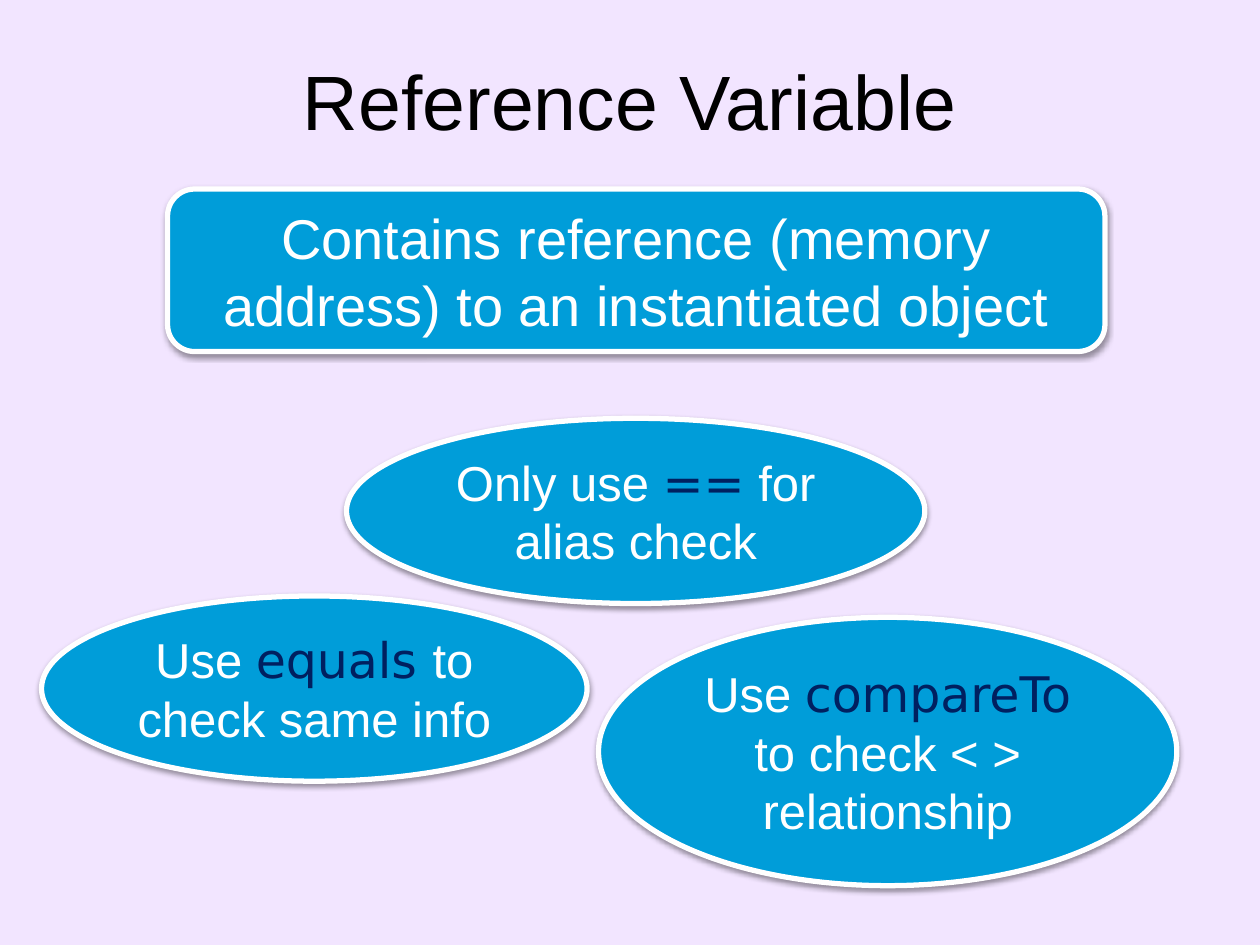
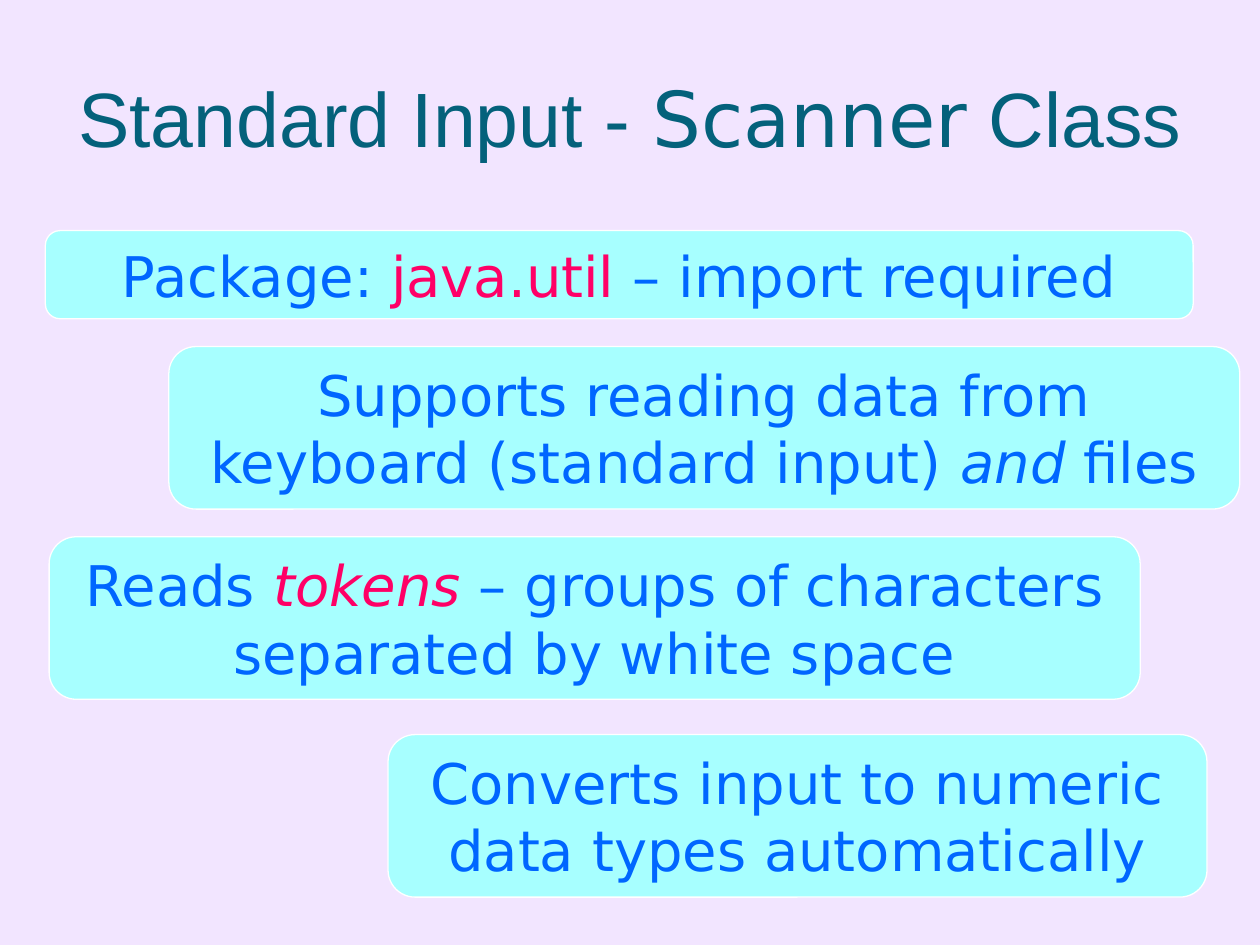
from lxml.etree import SubElement
from pptx import Presentation
from pptx.dml.color import RGBColor
from pptx.enum.shapes import MSO_SHAPE
from pptx.enum.text import MSO_ANCHOR, PP_ALIGN
from pptx.oxml.ns import qn
from pptx.util import Inches, Pt

SLIDE_WIDTH, SLIDE_HEIGHT = Inches(10), Inches(7.5)
BACKGROUND = "F2E5FF"
SANS, CODE = "Arial", "DejaVu Sans"
CODE_WORD = {"name": CODE, "color": "002060"}
KEYWORD = {"color": "FF0066"}
ITALIC = {"italic": True}

BLACK_TITLE = {"font": {"name": SANS, "size": 44, "color": "000000"}}
TEAL_TITLE = {"font": {"name": SANS, "size": 44, "color": "04617B"}}
BANNER = {"kind": MSO_SHAPE.ROUNDED_RECTANGLE, "fill": "009DD9", "line": 3, "shadow": True,
          "font": {"name": SANS, "size": 32, "color": "FFFFFF"}}
BUBBLE = {**BANNER, "kind": MSO_SHAPE.OVAL, "font": {**BANNER["font"], "size": 28}}
CARD = {"kind": MSO_SHAPE.ROUNDED_RECTANGLE, "fill": "A7FFFF", "line": 0.75, "shadow": False,
        "font": {"name": CODE, "size": 32, "color": "0066FF"}}

# fmt: skip
SLIDES = [
    [
        (BLACK_TITLE, (5, 2.27, 90, 16.67), [("Reference Variable", {})]),
        (BANNER, (13.3, 20, 74.4, 17.2),
         [("Contains reference (memory address) to an instantiated object", {})]),
        (BUBBLE, (27.5, 44.27, 45.9, 19.6),
         [("Only use ", {}), ("==", CODE_WORD), (" for alias check", {})]),
        (BUBBLE, (3.3, 63.07, 43.3, 19.6),
         [("Use ", {}), ("equals ", CODE_WORD), ("to check same info", {})]),
        (BUBBLE, (47.5, 65.33, 45.9, 28.4),
         [("Use ", {}), ("compareTo ", CODE_WORD), ("to check < > relationship", {})]),
    ],
    [
        (TEAL_TITLE, (5, 4, 90, 16.67),
         [("Standard Input - ", {}), ("Scanner", {"name": CODE}), (" Class", {})]),
        (CARD, (3.6, 24.4, 91.1, 9.33),
         [("Package: ", {}), ("java.util", KEYWORD), (" – import required", {})]),
        (CARD, (13.4, 36.67, 85, 17.2),
         [("Supports reading data from keyboard (standard input) ", {}),
          ("and", ITALIC), (" files", {})]),
        (CARD, (3.9, 56.8, 86.6, 17.2),
         [("Reads ", {}), ("tokens", {**KEYWORD, **ITALIC}),
          (" – groups of characters separated by white space", {})]),
        (CARD, (30.8, 77.73, 65, 17.2),
         [("Converts input to numeric data types automatically", {})]),
    ],
]


def color(value):
    return RGBColor.from_string(value)


def paint(fill, value):
    fill.solid()
    fill.fore_color.rgb = color(value)


def place(percents):
    lengths = (SLIDE_WIDTH, SLIDE_HEIGHT) * 2
    return [round(length * percent / 100) for length, percent in zip(lengths, percents)]


def add_shadow(shape):
    effects = shape._element.spPr.find(qn("a:effectLst"))
    shadow = SubElement(effects, qn("a:outerShdw"), blurRad=str(Pt(3.1)), dist=str(Pt(1.6)),
                        dir="5400000", rotWithShape="0")
    tint = SubElement(shadow, qn("a:srgbClr"), val="000000")
    SubElement(tint, qn("a:alpha"), val="38000")


def write(shape, runs, base):
    frame = shape.text_frame
    for name, value in {"word_wrap": True, "vertical_anchor": MSO_ANCHOR.MIDDLE}.items():
        setattr(frame, name, value)
    paragraph = frame.paragraphs[0]
    paragraph.alignment = PP_ALIGN.CENTER
    for text, changes in runs:
        run = paragraph.add_run()
        run.text = text
        style = {**base, **changes}
        run.font.color.rgb = color(style.pop("color"))
        style["size"] = Pt(style["size"])
        for name, value in style.items():
            setattr(run.font, name, value)


def add_part(slide, style, percents, runs):
    if "kind" in style:
        shape = slide.shapes.add_shape(style["kind"], *place(percents))
        shape.shadow.inherit = False
        paint(shape.fill, style["fill"])
        paint(shape.line.fill, "FFFFFF")
        shape.line.width = Pt(style["line"])
        if style["shadow"]:
            add_shadow(shape)
    else:
        shape = slide.shapes.add_textbox(*place(percents))
    write(shape, runs, style["font"])


def main():
    presentation = Presentation()
    presentation.slide_width, presentation.slide_height = SLIDE_WIDTH, SLIDE_HEIGHT
    for parts in SLIDES:
        slide = presentation.slides.add_slide(presentation.slide_layouts[6])
        paint(slide.background.fill, BACKGROUND)
        for part in parts:
            add_part(slide, *part)
    presentation.save("out.pptx")


if __name__ == "__main__":
    main()
